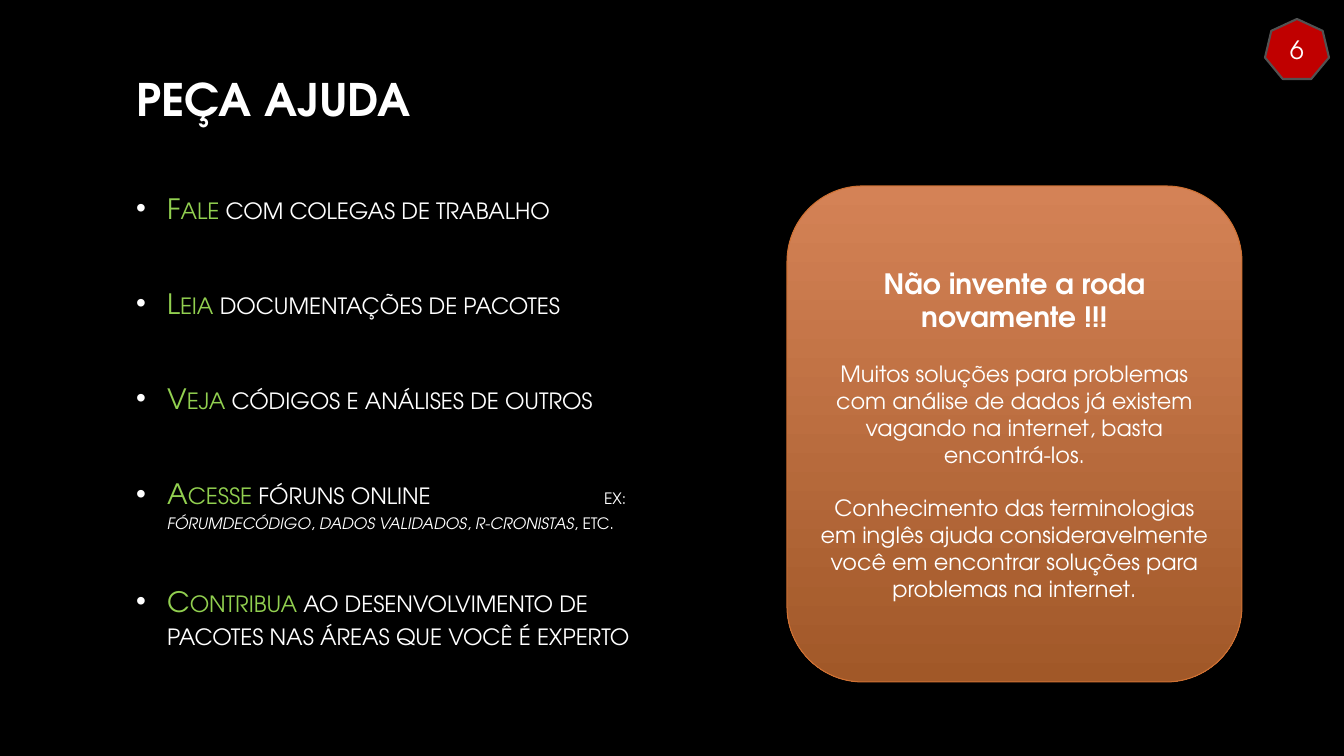
"""Builds the slide "PEÇA AJUDA": advice list, orange call-out and slide number."""
from lxml.etree import SubElement
from pptx import Presentation
from pptx.dml.color import RGBColor
from pptx.enum.shapes import MSO_SHAPE as SHAPE
from pptx.enum.text import MSO_ANCHOR as ANCHOR, MSO_AUTO_SIZE as AUTO_SIZE, PP_ALIGN as ALIGN
from pptx.oxml.ns import qn
from pptx.util import Pt

PX = 914400 / 100.8
FONT = "TeX Gyre Adventor"
WHITE, GREEN = "FFFFFF", "92D050"


def rgb(color):
    return RGBColor.from_string(color)


def add_run(paragraph, text, size, color=WHITE, bold=False, italic=False):
    run = paragraph.add_run()
    run.text = text
    font = run.font
    font.name, font.size, font.bold, font.italic = FONT, Pt(size), bold, italic
    font.color.rgb = rgb(color)
    return run


presentation = Presentation()
presentation.slide_width, presentation.slide_height = round(1344 * PX), round(756 * PX)
slide = presentation.slides.add_slide(presentation.slide_layouts[1])
slide.background.fill.solid()
slide.background.fill.fore_color.rgb = rgb("000000")

title, body = slide.placeholders
callout = slide.shapes.add_shape(SHAPE.ROUNDED_RECTANGLE, 0, 0, 0, 0)
badge = slide.shapes.add_shape(SHAPE.HEPTAGON, 0, 0, 0, 0)
for shape, box, anchor in [
    (title, (126, 67, 1092, 110), ANCHOR.TOP),
    (body, (126, 186, 538, 545), ANCHOR.TOP),
    (callout, (787, 186, 455, 496), ANCHOR.MIDDLE),
    (badge, (1265, 19, 64, 60), ANCHOR.MIDDLE),
]:
    shape.left, shape.top, shape.width, shape.height = [round(n * PX) for n in box]
    frame = shape.text_frame
    frame.word_wrap, frame.auto_size, frame.vertical_anchor = True, AUTO_SIZE.NONE, anchor

paragraph = title.text_frame.paragraphs[0]
paragraph.alignment = ALIGN.LEFT
add_run(paragraph, "PEÇA AJUDA", 32, bold=True)

advice = [
    ("Fale", [(" com colegas de trabalho", 20, False)], 0),
    ("Leia", [(" documentações de pacotes", 20, False)], 44),
    ("Veja", [(" códigos e análises de outros", 20, False)], 44),
    ("Acesse", [
        (" fóruns online", 20, False), ("\tex: ", 14, False),
        ("fórumdecódigo", 14, True), (", ", 14, False),
        ("dados validados", 14, True), (", ", 14, False),
        ("r-cronistas", 14, True), (", etc.", 14, False),
    ], 44),
    ("Contribua", [(" ao desenvolvimento de pacotes nas áreas que você é experto", 20, False)], 36),
]
frame = body.text_frame
for index, (verb, parts, gap) in enumerate(advice):
    paragraph = frame.add_paragraph() if index else frame.paragraphs[0]
    properties = paragraph._p.get_or_add_pPr()
    properties.set("marL", str(round(31 * PX)))
    properties.set("indent", str(round(-31 * PX)))
    bullet_color = SubElement(properties, qn("a:buClr"))
    SubElement(bullet_color, qn("a:srgbClr"), val=WHITE)
    SubElement(properties, qn("a:buFont"), typeface="Arial")
    SubElement(properties, qn("a:buChar"), char="•")
    if verb == "Acesse":
        tabs = SubElement(properties, qn("a:tabLst"))
        SubElement(tabs, qn("a:tab"), pos=str(round(468 * PX)), algn="l")
    paragraph.space_before, paragraph.space_after = Pt(gap), Pt(0)
    runs = [add_run(paragraph, verb, 20, GREEN)]
    runs += [add_run(paragraph, text, size, italic=italic) for text, size, italic in parts]
    for run in runs:
        run.font._element.set("cap", "small")

callout.shadow.inherit = False
callout.fill.gradient()
callout.fill.gradient_angle = 270
for stop, color, position in zip(callout.fill.gradient_stops, ("D48256", "A15828"), (0, 1)):
    stop.color.rgb = rgb(color)
    stop.position = position
callout.line.color.rgb = rgb("CF7133")
callout.line.width = Pt(0.75)
messages = [
    ("Não invente a roda novamente !!!", 20, True),
    ("Muitos soluções para problemas com análise de dados já existem vagando na internet, "
     "basta encontrá-los.", 16, False),
    ("Conhecimento das terminologias em inglês ajuda consideravelmente você em encontrar "
     "soluções para problemas na internet.", 16, False),
]
frame = callout.text_frame
for index, (text, size, bold) in enumerate(messages):
    paragraph = frame.add_paragraph() if index else frame.paragraphs[0]
    paragraph.alignment = ALIGN.CENTER
    paragraph.space_before = Pt(19.2 if index else 0)
    add_run(paragraph, text, size, bold=bold)

badge.shadow.inherit = False
badge.fill.solid()
badge.fill.fore_color.rgb = rgb("C00000")
badge.line.color.rgb = rgb("525252")
badge.line.width = Pt(1.5)
paragraph = badge.text_frame.paragraphs[0]
paragraph.alignment = ALIGN.CENTER
add_run(paragraph, "6", 18)

presentation.save("out.pptx")
